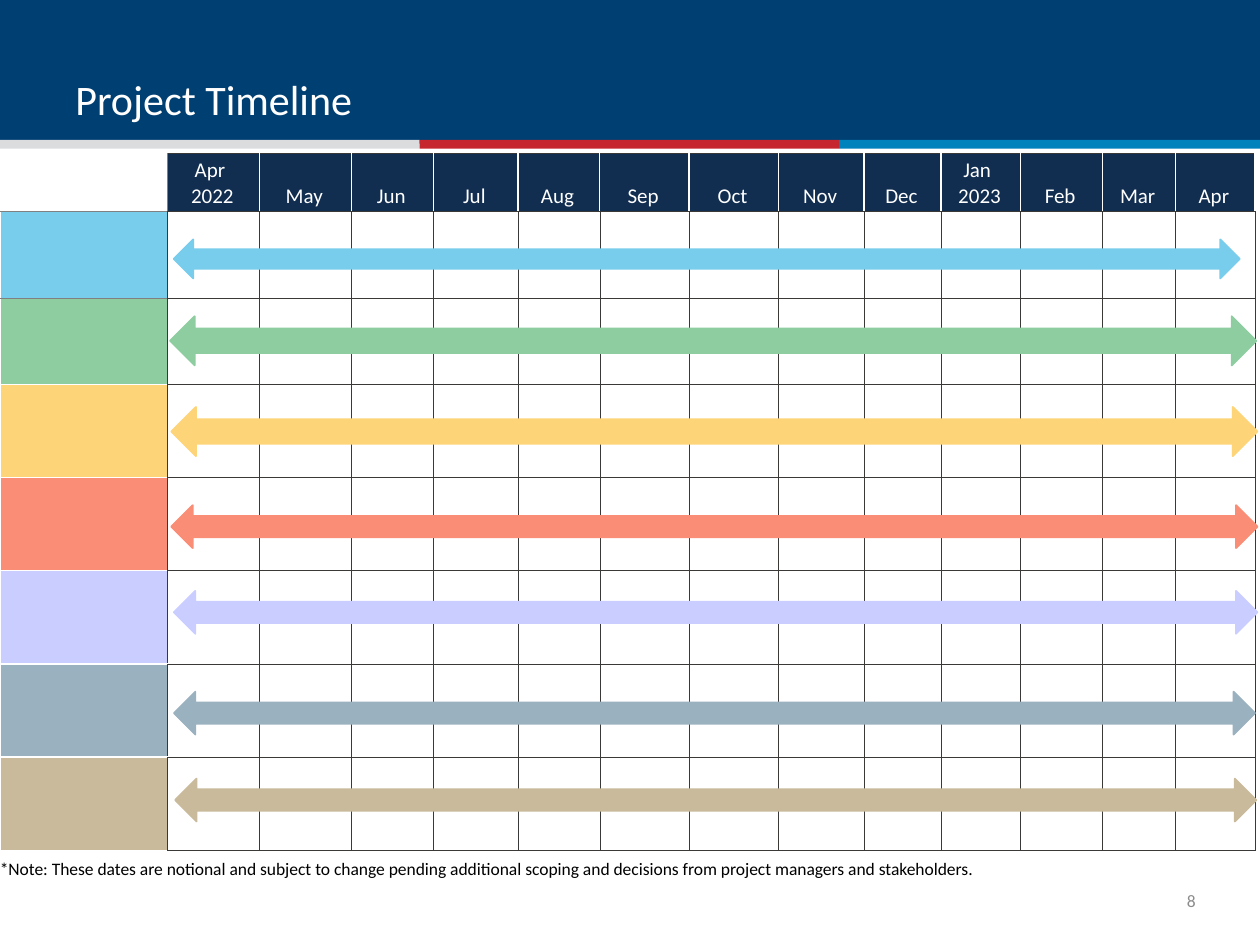
from pptx import Presentation
from pptx.dml.color import RGBColor
from pptx.enum.shapes import MSO_SHAPE as SHAPE
from pptx.enum.text import MSO_ANCHOR as ANCHOR, PP_ALIGN as ALIGN
from pptx.oxml.ns import qn
from pptx.util import Inches, Pt
from lxml.etree import SubElement

COLORS = {
    "navy": "003F72", "silver": "DBDCDE", "red": "C6262D", "blue": "0082BD",
    "header": "112E51", "white": "FFFFFF", "black": "000000",
    "grid": "3B3838", "rule": "808080", "number": "8C8C8C",
    "sky": "78CDEC", "green": "8DCDA0", "yellow": "FED478", "coral": "F98D75",
    "lilac": "CACDFF", "slate": "9AB1BF", "sand": "C8BA9A",
}
BANNER = [
    ("navy", -0.01, 0, 10.01, 1.14),
    ("silver", -0.01, 1.11, 3.34, 0.07),
    ("red", 3.33, 1.11, 3.33, 0.07),
    ("blue", 6.66, 1.11, 3.34, 0.07),
]
TEXTS = [
    ("Project Timeline", (0.5, 0.14, 9, 0.89), 24, "white",
     dict(vertical_anchor=ANCHOR.BOTTOM, word_wrap=True), ALIGN.LEFT),
    ("8", (9.22, 6.95, 0.27, 0.4), 10, "number",
     dict(vertical_anchor=ANCHOR.MIDDLE, word_wrap=True, margin_left=0,
          margin_right=0, margin_top=0, margin_bottom=0), ALIGN.RIGHT),
    ("*Note: These dates are notional and subject to change pending additional "
     "scoping and decisions from project managers and stakeholders.",
     (-0.1, 6.76, 8.04, 0.27), 10, "black", dict(word_wrap=False), ALIGN.LEFT),
]
MONTHS = ["Apr \n2022", "May", "Jun", "Jul", "Aug", "Sep", "Oct", "Nov", "Dec",
          "Jan \n2023", "Feb", "Mar", "Apr"]
COLUMNS = [1.33, 0.73, 0.73, 0.65, 0.67, 0.65, 0.71, 0.71, 0.68, 0.61, 0.63,
           0.65, 0.58, 0.63]
HEADER_HEIGHT = 0.46
TRACKS = [
    ("sky", 0.69, (1.38, 1.9, 8.46, 0.31)),
    ("green", 0.68, (1.35, 2.51, 8.62, 0.39)),
    ("yellow", 0.74, (1.36, 3.23, 8.62, 0.39)),
    ("coral", 0.74, (1.36, 4.01, 8.62, 0.34)),
    ("lilac", 0.74, (1.38, 4.69, 8.6, 0.34)),
    ("slate", 0.74, (1.38, 5.49, 8.58, 0.34)),
    ("sand", 0.74, (1.39, 6.18, 8.58, 0.34)),
]
CELL_FORMAT = dict(vertical_anchor=ANCHOR.BOTTOM, margin_left=0,
                   margin_right=Inches(0.02), margin_top=Inches(0.02),
                   margin_bottom=Inches(0.02))
THIN, GRAY, WHITE = ("grid", 0.25), ("rule", 0.5), ("white", 1)


def rgb(name):
    return RGBColor.from_string(COLORS[name])


def apply(target, values):
    for name, value in values.items():
        setattr(target, name, value)


def add_shape(kind, box, color, line=None):
    sp = s.shapes.add_shape(kind, *map(Inches, box))
    sp.shadow.inherit = False
    sp.fill.solid()
    sp.fill.fore_color.rgb = rgb(color)
    if line:
        sp.line.color.rgb = rgb(color)
        sp.line.width = Pt(line)
    else:
        sp.line.fill.background()


def write(tf, text, size, color, align):
    tf.text = text
    for p in tf.paragraphs:
        p.alignment = align
        for font in [p.font] + [r.font for r in p.runs]:
            apply(font, dict(name="Calibri", size=Pt(size)))
            font.color.rgb = rgb(color)


def set_borders(cell, borders):
    tc_pr = cell._tc.get_or_add_tcPr()
    for index, side in enumerate(x for x in "LRTB" if x in borders):
        color, width = borders[side]
        ln = SubElement(tc_pr, qn(f"a:ln{side}"), w=str(Pt(width)))
        SubElement(SubElement(ln, qn("a:solidFill")), qn("a:srgbClr"), val=COLORS[color])
        tc_pr.insert(index, ln)


def borders_for(row, col):
    if row == 0 and col == 0:
        return dict(R=GRAY, B=GRAY)
    if row == 0:
        return dict(L=GRAY if col == 1 else WHITE, R=WHITE, T=("grid", 1), B=THIN)
    if col == 0:
        return dict(R=THIN, T=GRAY if row < 3 else WHITE, B=GRAY if row == 1 else WHITE)
    return dict.fromkeys("LRTB", THIN)


prs = Presentation()
prs.slide_width, prs.slide_height = Inches(10), Inches(7.5)
s = prs.slides.add_slide(prs.slide_layouts[6])

for color, *box in BANNER:
    add_shape(SHAPE.RECTANGLE, box, color)

for text, box, size, color, frame, align in TEXTS:
    tf = s.shapes.add_textbox(*map(Inches, box)).text_frame
    apply(tf, frame)
    write(tf, text, size, color, align)

heights = [HEADER_HEIGHT] + [height for _, height, _ in TRACKS]
table = s.shapes.add_table(len(heights), len(COLUMNS), Inches(0), Inches(1.22),
                           Inches(sum(COLUMNS)), Inches(sum(heights))).table
apply(table, dict(first_row=False, horz_banding=False))
for column, width in zip(table.columns, COLUMNS):
    column.width = Inches(width)
for row, height in zip(table.rows, heights):
    row.height = Inches(height)

for i in range(len(heights)):
    for j in range(len(COLUMNS)):
        cell = table.cell(i, j)
        apply(cell, CELL_FORMAT)
        text = MONTHS[j - 1] if i == 0 and j else ""
        write(cell.text_frame, text, 12, "white", ALIGN.CENTER)
        if i and j == 0:
            fill = TRACKS[i - 1][0]
        else:
            fill = "header" if text else "white"
        cell.fill.solid()
        cell.fill.fore_color.rgb = rgb(fill)
        set_borders(cell, borders_for(i, j))

for color, _, box in TRACKS:
    add_shape(SHAPE.LEFT_RIGHT_ARROW, box, color, 1)

prs.save("out.pptx")
